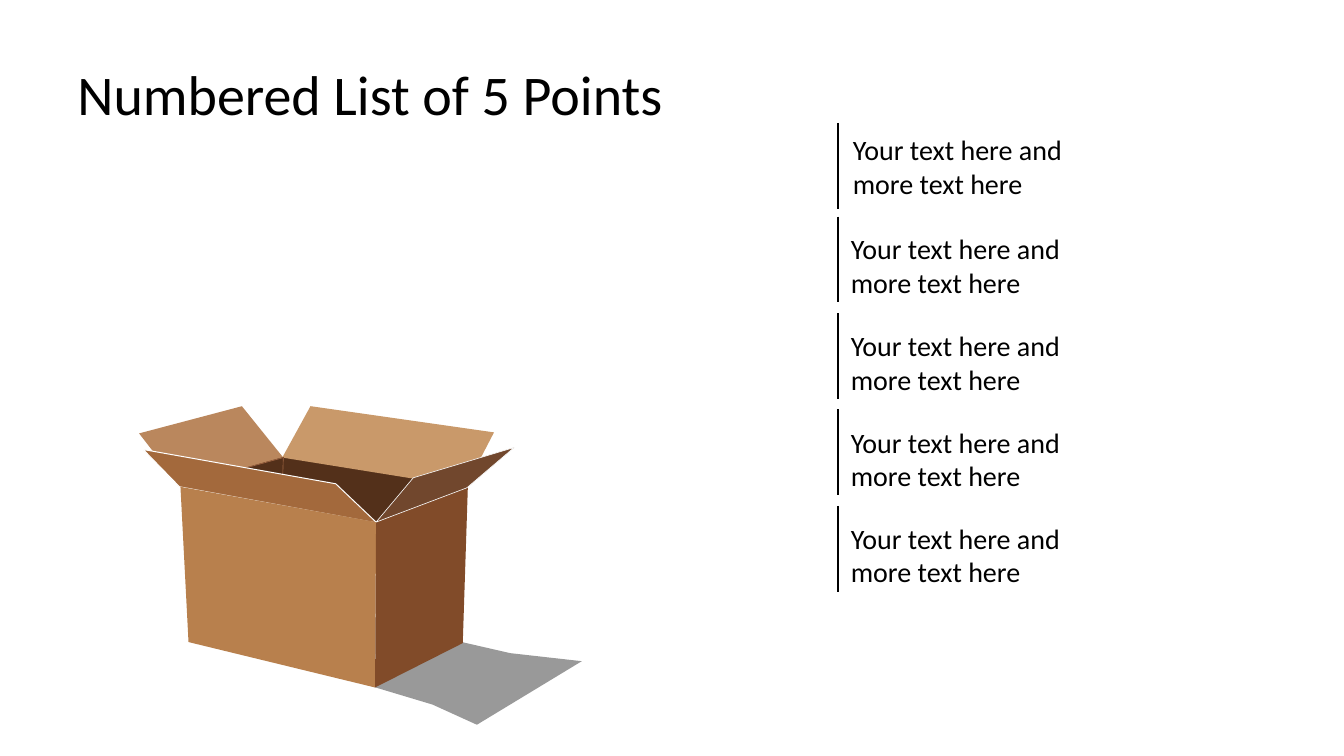
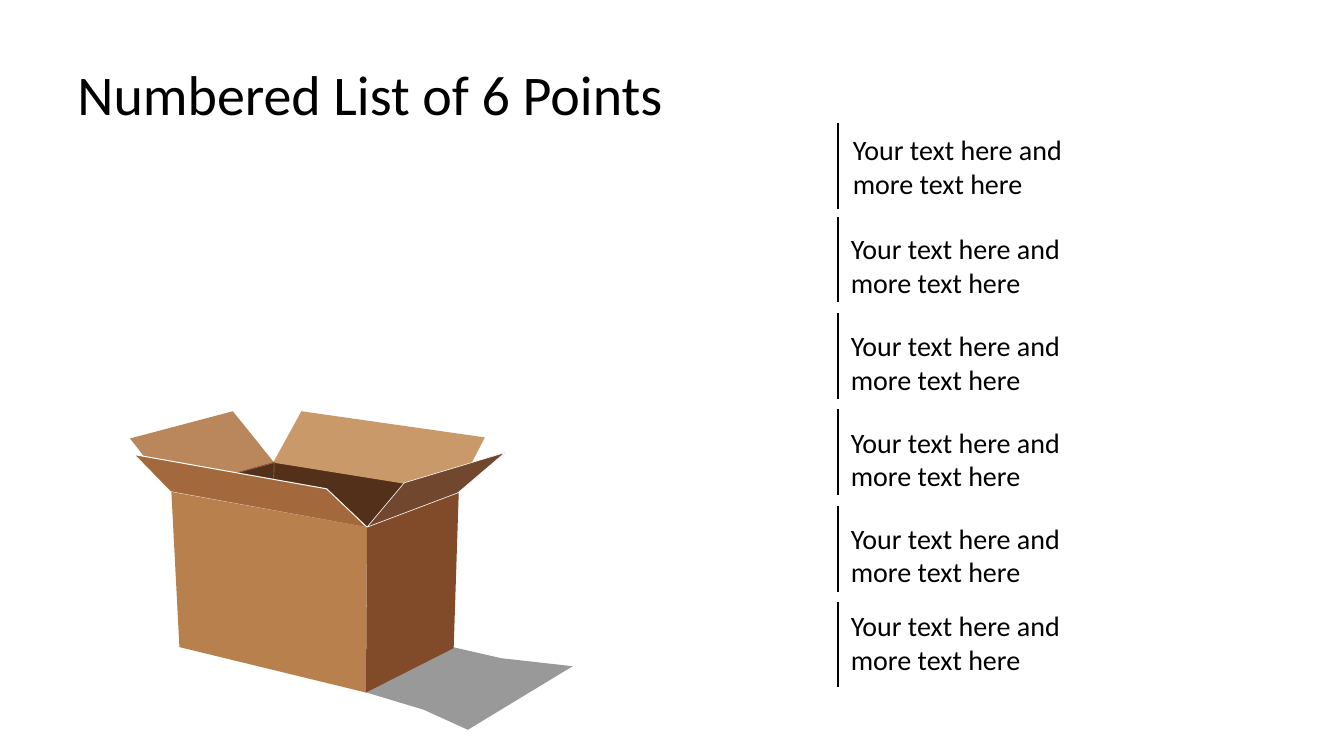
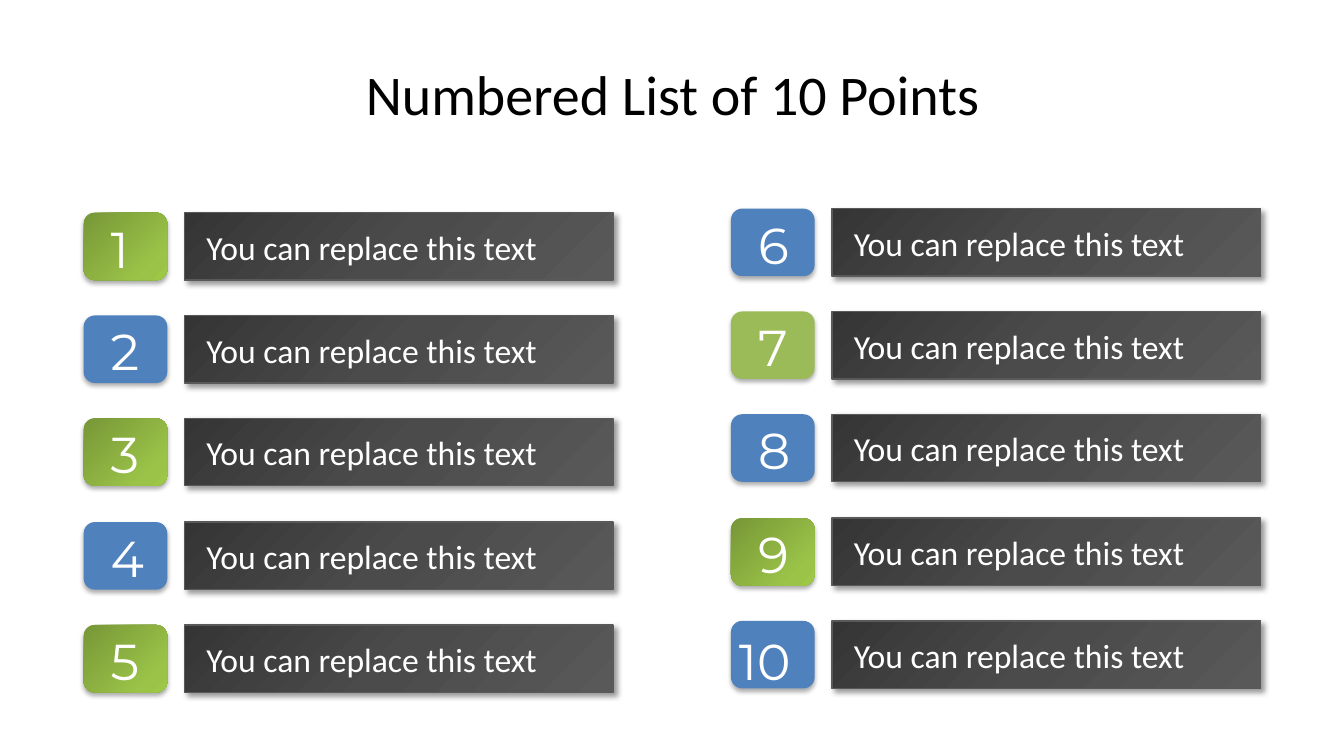
"""Build three numbered-list slides: two with an open box, one with ten labelled bars."""
from dataclasses import dataclass
from typing import NamedTuple, Optional

from pptx import Presentation
from pptx.dml.color import RGBColor
from pptx.enum.shapes import MSO_CONNECTOR, MSO_SHAPE
from pptx.enum.text import MSO_ANCHOR, MSO_AUTO_SIZE, PP_ALIGN
from pptx.oxml import parse_xml
from pptx.oxml.ns import nsdecls, qn
from pptx.util import Emu, Pt

STRAIGHT = MSO_CONNECTOR.STRAIGHT
RECT, ROUND_RECT = MSO_SHAPE.RECTANGLE, MSO_SHAPE.ROUNDED_RECTANGLE
TOP, MIDDLE = MSO_ANCHOR.TOP, MSO_ANCHOR.MIDDLE
LEFT, CENTER = PP_ALIGN.LEFT, PP_ALIGN.CENTER
GROW = MSO_AUTO_SIZE.SHAPE_TO_FIT_TEXT

EMU_PER_PX = 9144
SLIDE_W, SLIDE_H = 1333, 750
BODY_FONT, NUMBER_FONT = "Calibri", "Montserrat"

COLORS = {
    "black": "000000", "white": "FFFFFF", "off_white": "F8F8F8",
    "back_flap_left": "BA875D", "back_flap_right": "C9996A",
    "inside": "53301A", "crease": "A16644", "shadow": "999999",
    "front_flap": "A3693C", "side_flap": "71472D",
    "front": "B8804D", "side": "814B29",
    "blue": "4F81BD", "green": "9BBB59", "bar_edge": "595959",
}
GREEN_BLEND = ((0, "779737"), (80, "9BC348"), (100, "9DC746"))
BAR_BLEND = ((0, "353535"), (50, "4B4B4B"), (100, "595959"))


class Frame(NamedTuple):
    left: int
    top: int
    width: int
    height: int


class Edge(NamedTuple):
    color: str
    width: float


class Shadow(NamedTuple):
    alpha: int
    blur: float
    distance: float
    angle: int


class Point(NamedTuple):
    rule_top: int
    text_left: int
    text_top: int


@dataclass(frozen=True)
class Face:
    points: tuple
    fill: Optional[str] = None
    edge: Optional[Edge] = None


@dataclass(frozen=True)
class Column:
    left: int
    top: int
    first: int
    fills: tuple


TITLE_FRAME = Frame(67, 30, 1200, 125)
BADGE_SHADOW = Shadow(32, 3.5, 2.2, 90)
BAR_SHADOW = Shadow(40, 4, 3, 45)
ROW_PITCH = 102.25
RULE_LEFT, RULE_HEIGHT = 831, 85

POINTS = (
    Point(122, 836, 127), Point(215, 834, 225), Point(311, 834, 321),
    Point(406, 834, 417), Point(502, 834, 512), Point(597, 834, 599),
)

INSIDE_EDGE = Edge("inside", 0)
CREASE_EDGE = Edge("crease", 0.44)
BACK_FACES = (
    Face(((152, 448), (138, 430), (240, 403), (281, 454), (280, 472)), "back_flap_left"),
    Face(((281, 454), (280, 473), (332, 482), (372, 519), (418, 476)), "inside", INSIDE_EDGE),
    Face(((280, 454), (417, 476), (476, 456), (490, 429), (308, 403)), "back_flap_right"),
    Face(((281, 454), (280, 473), (251, 482), (228, 519), (202, 476)), "inside", INSIDE_EDGE),
)
FRONT_FACES = (
    Face(((432, 631), (506, 648), (577, 656), (473, 719), (429, 699), (339, 672)), "shadow"),
    Face(((281, 454), (179, 482)), edge=CREASE_EDGE),
    Face(((281, 454), (280, 485)), edge=CREASE_EDGE),
    Face(((142, 446), (333, 480), (374, 519), (178, 483)), "front_flap", Edge("white", 0.71)),
    Face(((179, 483), (373, 518), (372, 682), (187, 637)), "front"),
    Face(((373, 518), (464, 483), (459, 638), (372, 682)), "side"),
    Face(((373, 518), (463, 484), (510, 444), (410, 474)), "side_flap", Edge("off_white", 0.44)),
)

COLUMNS = (
    Column(83, 211, 1, (GREEN_BLEND, "blue", GREEN_BLEND, "blue", GREEN_BLEND)),
    Column(725, 207, 6, ("blue", "green", "blue", GREEN_BLEND, "blue")),
)


def px(value: int) -> Emu:
    return Emu(value * EMU_PER_PX)


def rgb(name: str) -> RGBColor:
    return RGBColor.from_string(COLORS[name])


def add_text(s, frame: Frame, text: str, size: int, color: str = "black",
             font: str = BODY_FONT, align=LEFT, anchor=TOP,
             wrap: bool = True, grow: bool = True) -> None:
    tf = s.shapes.add_textbox(*map(px, frame)).text_frame
    tf.word_wrap = wrap
    tf.vertical_anchor = anchor
    if grow:
        tf.auto_size = GROW
    p = tf.paragraphs[0]
    p.alignment = align
    r = p.add_run()
    r.text = text
    r.font.name, r.font.size = font, Pt(size)
    r.font.color.rgb = rgb(color)


def set_edge(shape, edge: Optional[Edge]) -> None:
    if edge is None:
        shape.line.fill.background()
    else:
        shape.line.color.rgb = rgb(edge.color)
        shape.line.width = Pt(edge.width)


def add_line(s, start: tuple, end: tuple, edge: Edge) -> None:
    line = s.shapes.add_connector(STRAIGHT, *map(px, (*start, *end)))
    set_edge(line, edge)
    line._element.spPr.append(parse_xml(f"<a:effectLst {nsdecls('a')}/>"))


def set_fill(shape, fill) -> None:
    shape.fill.solid()
    if isinstance(fill, str):
        shape.fill.fore_color.rgb = rgb(fill)
        return
    stops = "".join(f'<a:gs pos="{pos * 1000}"><a:srgbClr val="{color}"/></a:gs>'
                    for pos, color in fill)
    spPr = shape._element.spPr
    spPr.replace(spPr.find(qn("a:solidFill")), parse_xml(
        f"<a:gradFill {nsdecls('a')}><a:gsLst>{stops}</a:gsLst>"
        '<a:lin ang="2700000" scaled="0"/></a:gradFill>'))


def add_panel(s, kind, frame: Frame, fill, shadow: Shadow,
              edge: Optional[Edge] = None) -> None:
    shape = s.shapes.add_shape(kind, *map(px, frame))
    set_fill(shape, fill)
    set_edge(shape, edge)
    shape.shadow.inherit = False
    shape._element.spPr.find(qn("a:effectLst")).append(parse_xml(
        f'<a:outerShdw {nsdecls("a")} blurRad="{Pt(shadow.blur)}" '
        f'dist="{Pt(shadow.distance)}" dir="{shadow.angle * 60000}" rotWithShape="0">'
        f'<a:srgbClr val="{COLORS["black"]}"><a:alpha val="{shadow.alpha * 1000}"/>'
        "</a:srgbClr></a:outerShdw>"))


def add_faces(s, faces: tuple, dx: int, dy: int) -> None:
    for face in faces:
        points = [(x + dx, y + dy) for x, y in face.points]
        if face.fill is None:
            add_line(s, *points, face.edge)
            continue
        builder = s.shapes.build_freeform(*points[0], scale=EMU_PER_PX)
        builder.add_line_segments(points[1:], close=True)
        shape = builder.convert_to_shape()
        set_fill(shape, face.fill)
        set_edge(shape, face.edge)
        shape.shadow.inherit = False


def add_slide(prs, count: int, align=LEFT):
    s = prs.slides.add_slide(prs.slide_layouts[6])
    add_text(s, TITLE_FRAME, f"Numbered List of {count} Points", 40,
             align=align, anchor=MIDDLE, grow=False)
    return s


def add_box_slide(prs, count: int, dx: int = 0, dy: int = 0) -> None:
    s = add_slide(prs, count)
    add_faces(s, BACK_FACES, dx, dy)
    for point in POINTS[:count]:
        add_text(s, Frame(point.text_left, point.text_top, 289, 77),
                 "Your text here and more text here", 20)
        add_line(s, (RULE_LEFT, point.rule_top),
                 (RULE_LEFT, point.rule_top + RULE_HEIGHT), Edge("black", 1))
    add_faces(s, FRONT_FACES, dx, dy)


def add_bar_slide(prs) -> None:
    s = add_slide(prs, 10, CENTER)
    for column in COLUMNS:
        left = column.left
        for row, fill in enumerate(column.fills):
            top = column.top + round(row * ROW_PITCH)
            number = column.first + row
            number_frame = (Frame(left + 17, top, 54, 71) if number < 10
                            else Frame(left - 2, top + 4, 88, 71))
            add_panel(s, ROUND_RECT, Frame(left, top, 83, 67), fill, BADGE_SHADOW)
            add_text(s, number_frame, str(number), 36, "white", NUMBER_FONT, wrap=False)
            add_panel(s, RECT, Frame(left + 100, top, 425, 67), BAR_BLEND,
                      BAR_SHADOW, Edge("bar_edge", 1))
            add_text(s, Frame(left + 112, top + 9, 413, 50),
                     "You can replace this text", 24, "white")


def main() -> None:
    prs = Presentation()
    prs.slide_width, prs.slide_height = px(SLIDE_W), px(SLIDE_H)
    add_box_slide(prs, 5)
    add_box_slide(prs, 6, dx=-9, dy=5)
    add_bar_slide(prs)
    prs.save("out.pptx")


if __name__ == "__main__":
    main()
